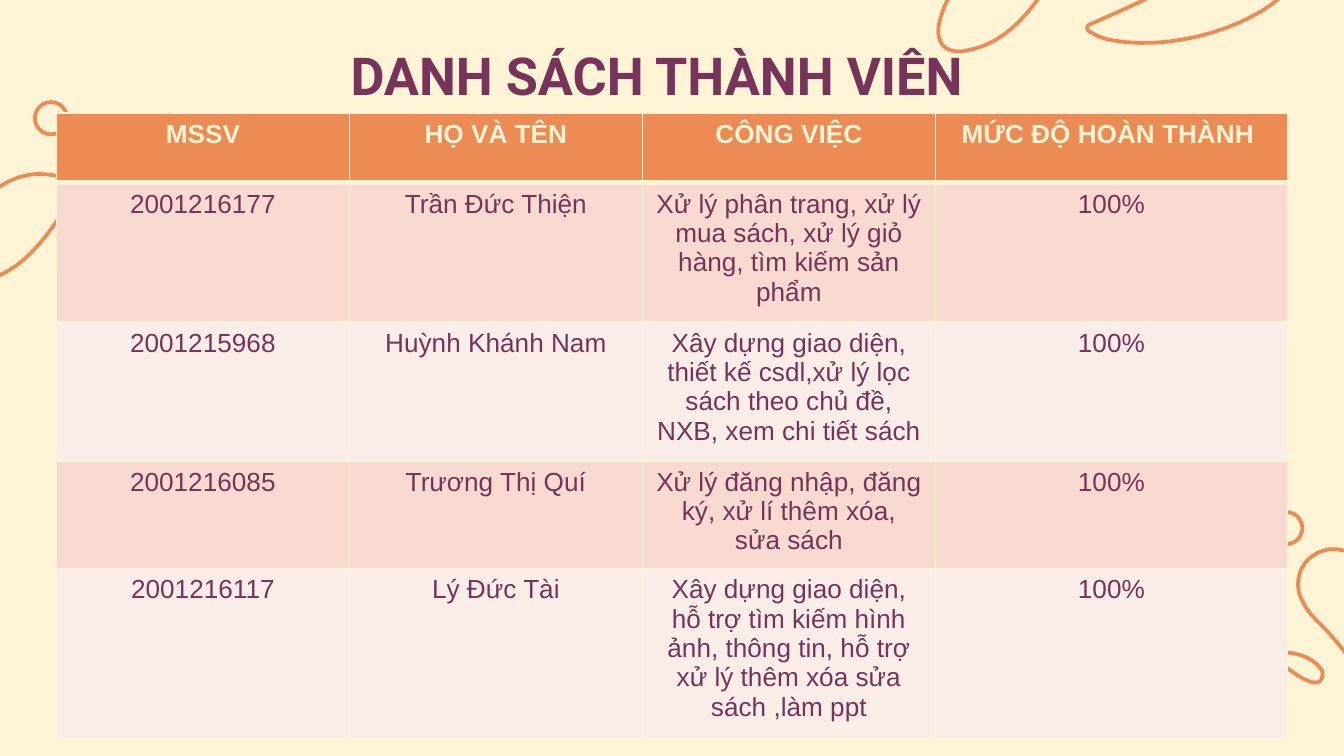
from lxml import etree
from pptx import Presentation
from pptx.dml.color import RGBColor
from pptx.enum.shapes import MSO_SHAPE
from pptx.enum.text import PP_ALIGN
from pptx.oxml.ns import qn
from pptx.util import Inches, Pt

CENTER = PP_ALIGN.CENTER
OVAL = MSO_SHAPE.OVAL
SLIDE_WIDTH = Inches(10)
SLIDE_HEIGHT = SLIDE_WIDTH * 9 // 16
CREAM, ORANGE, PLUM = "FFF4D5", "EC8B53", "77335A"
BANDS = ["F8DAD1", "FBEEE9"]

TITLE = "DANH SÁCH THÀNH VIÊN"
HEADER = ["MSSV", "HỌ VÀ TÊN", "CÔNG VIỆC", "MỨC ĐỘ HOÀN THÀNH "]
MEMBERS = [
    ["2001216177", "Trần Đức Thiện",
     "Xử lý phân trang, xử lý mua sách, xử lý giỏ hàng, tìm kiếm sản phẩm", "100%"],
    ["2001215968", "Huỳnh Khánh Nam",
     "Xây dựng giao diện, thiết kế csdl,xử lý lọc sách theo chủ đề, NXB, xem chi tiết sách",
     "100%"],
    ["2001216085", "Trương Thị Quí",
     "Xử lý đăng nhập, đăng ký, xử lí thêm xóa, sửa sách", "100%"],
    ["2001216117", "Lý Đức Tài",
     "Xây dựng giao diện, hỗ trợ tìm kiếm hình ảnh, thông tin, hỗ trợ xử lý thêm xóa "
     "sửa sách ,làm ppt", "100%"],
]
COLUMN_WIDTHS = [2.18, 2.18, 2.18, 2.62]
ROW_HEIGHTS = [0.52, 1.03, 1.03, 0.8, 1.27]

# Closed Bezier outlines around their own centre: start, then three points a curve
LEAF = [
    (0.63, -0.48),
    (0.61, -0.49), (0.60, -0.50), (0.58, -0.51),
    (0.50, -0.54), (0.42, -0.54), (0.35, -0.50),
    (0.28, -0.47), (0.23, -0.42), (0.18, -0.37),
    (0.16, -0.35), (0.15, -0.34), (0.13, -0.32),
    (0.06, -0.26), (-0.02, -0.19), (-0.10, -0.13),
    (-0.32, 0.02), (-0.57, 0.13), (-0.80, 0.23),
    (-0.83, 0.25), (-0.90, 0.26), (-0.89, 0.29),
    (-0.89, 0.31), (-0.87, 0.32), (-0.86, 0.32),
    (-0.82, 0.35), (-0.76, 0.37), (-0.70, 0.38),
    (-0.37, 0.44), (0.04, 0.36), (0.34, 0.20),
    (0.54, 0.10), (0.82, -0.14), (0.71, -0.38),
    (0.69, -0.41), (0.67, -0.45), (0.63, -0.48),
]
PETAL = [
    (-0.43, 0.40),
    (-0.40, 0.44), (-0.34, 0.46), (-0.27, 0.45),
    (0.02, 0.41), (0.20, 0.19), (0.35, -0.03),
    (0.41, -0.11), (0.47, -0.21), (0.56, -0.24),
    (0.46, -0.33), (0.26, -0.37), (0.13, -0.35),
    (-0.14, -0.31), (-0.38, -0.03), (-0.44, 0.20),
    (-0.47, 0.29), (-0.46, 0.35), (-0.43, 0.40),
]
DROP = [
    (0.22, 0.05),
    (0.22, 0.04), (0.22, 0.02), (0.21, 0.01),
    (0.13, -0.11), (-0.07, -0.14), (-0.22, -0.10),
    (-0.16, -0.08), (-0.12, -0.05), (-0.07, -0.02),
    (0.02, 0.05), (0.15, 0.14), (0.20, 0.10),
    (0.21, 0.09), (0.22, 0.08), (0.22, 0.05),
]
LEAF_TURNED = [(y, -x) for x, y in LEAF]
# Outline, centre x, centre y
DOODLES = [
    (LEAF, 8.98, -0.08), (PETAL, 7.44, -0.07), (LEAF_TURNED, 10.19, 4.82),
    (DROP, 9.62, 4.97), (PETAL, 0.09, 1.65),
]
RING_CENTERS = [(9.57, 3.93), (0.38, 0.88)]
RING_SIZE = 0.24


def color(value):
    return RGBColor.from_string(value)


def flatten(outline, steps=10):
    """Turn a Bezier outline into a list of points."""
    points = [outline[0]]
    for first in range(0, len(outline) - 1, 3):
        curve = outline[first:first + 4]
        for step in range(1, steps + 1):
            t = step / steps
            weights = [(1 - t) ** 3, 3 * t * (1 - t) ** 2, 3 * t * t * (1 - t), t ** 3]
            points.append(tuple(sum(w * point[axis] for w, point in zip(weights, curve))
                                for axis in (0, 1)))
    return points


def style_outline(shape):
    shape.shadow.inherit = False
    shape.fill.background()
    shape.line.color.rgb = color(ORANGE)
    shape.line.width = Pt(2)


def style_text(paragraph, font_name, size, text_color, bold):
    font = paragraph.font
    font.name, font.size, font.bold = font_name, Pt(size), bold
    font.color.rgb = color(text_color)


def set_border(cell, side, width):
    line = etree.SubElement(cell._tc.get_or_add_tcPr(), qn(f"a:ln{side}"), w=str(Pt(width)))
    fill = etree.SubElement(line, qn("a:solidFill"))
    etree.SubElement(fill, qn("a:srgbClr"), val=CREAM)


presentation = Presentation()
presentation.slide_width = SLIDE_WIDTH
presentation.slide_height = SLIDE_HEIGHT
slide = presentation.slides.add_slide(presentation.slide_layouts[6])
slide.background.fill.solid()
slide.background.fill.fore_color.rgb = color(CREAM)

# Line decorations
for outline, center_x, center_y in DOODLES:
    points = [(Inches(center_x + x), Inches(center_y + y)) for x, y in flatten(outline)]
    builder = slide.shapes.build_freeform(*points[0])
    builder.add_line_segments(points[1:], close=True)
    style_outline(builder.convert_to_shape())
for center_x, center_y in RING_CENTERS:
    style_outline(slide.shapes.add_shape(
        OVAL, Inches(center_x - RING_SIZE / 2), Inches(center_y - RING_SIZE / 2),
        Inches(RING_SIZE), Inches(RING_SIZE)))

# Title
title = slide.shapes.add_textbox(Inches(2.51), Inches(0.27), Inches(4.99), Inches(0.57))
title.text_frame.word_wrap = True
title.text_frame.text = TITLE
style_text(title.text_frame.paragraphs[0], "Roboto", 28, PLUM, True)

# Member table
rows = [HEADER] + MEMBERS
table = slide.shapes.add_table(
    len(rows), len(HEADER), Inches(0.42), Inches(0.84),
    Inches(sum(COLUMN_WIDTHS)), Inches(sum(ROW_HEIGHTS))).table
table.horz_banding = False
for column, width in zip(table.columns, COLUMN_WIDTHS):
    column.width = Inches(width)
for row_index, (row, height) in enumerate(zip(rows, ROW_HEIGHTS)):
    table.rows[row_index].height = Inches(height)
    is_header = row_index == 0
    for column_index, text in enumerate(row):
        cell = table.cell(row_index, column_index)
        top, bottom = (3 if row_index == 1 else 1), (3 if is_header else 1)
        for side, width in zip("LRTB", (1, 1, top, bottom)):
            set_border(cell, side, width)
        cell.fill.solid()
        cell.fill.fore_color.rgb = color(ORANGE if is_header else BANDS[(row_index - 1) % 2])
        cell.text = text
        paragraph = cell.text_frame.paragraphs[0]
        paragraph.alignment = CENTER
        style_text(paragraph, "Arial", 14, CREAM if is_header else PLUM, is_header)

presentation.save("out.pptx")
